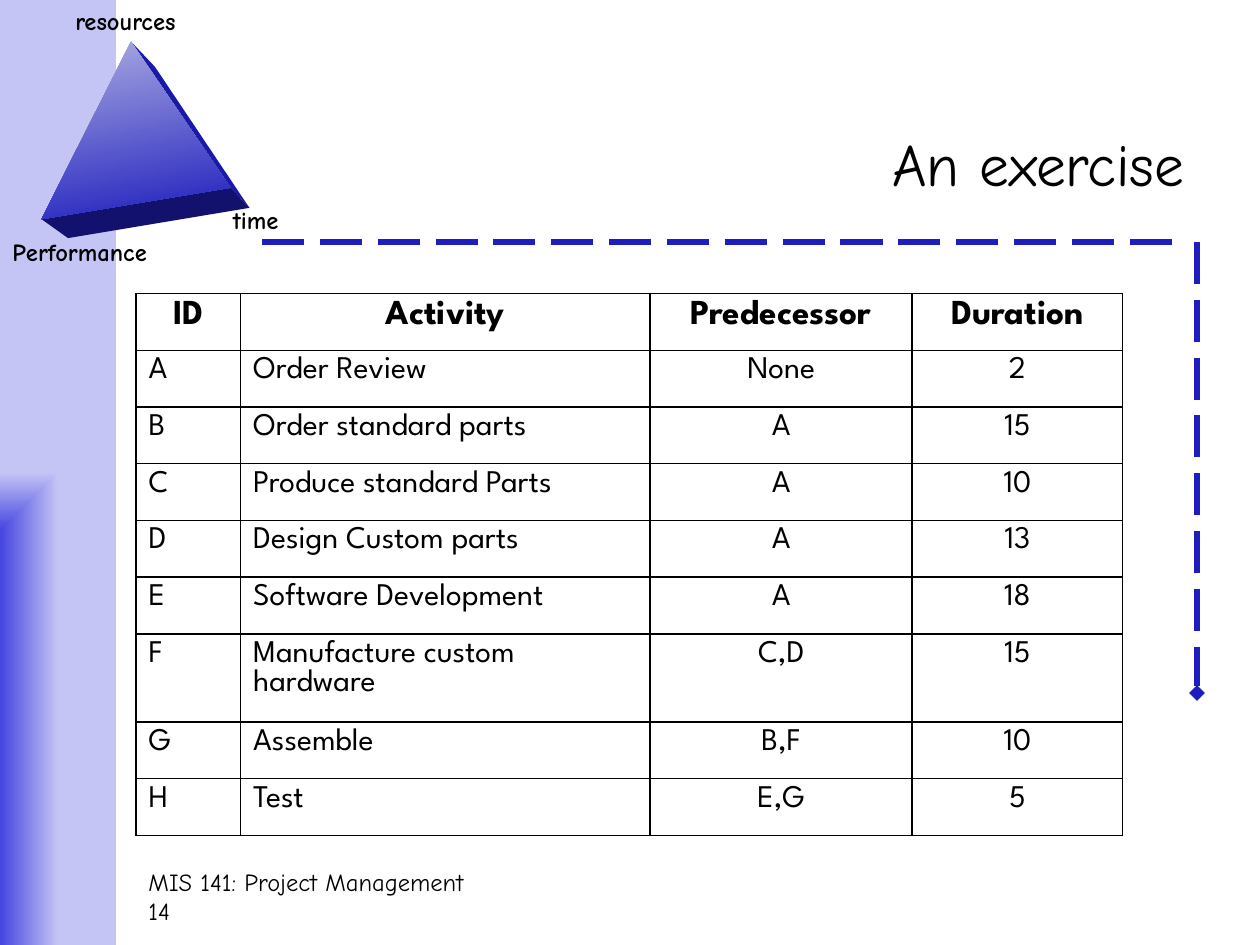
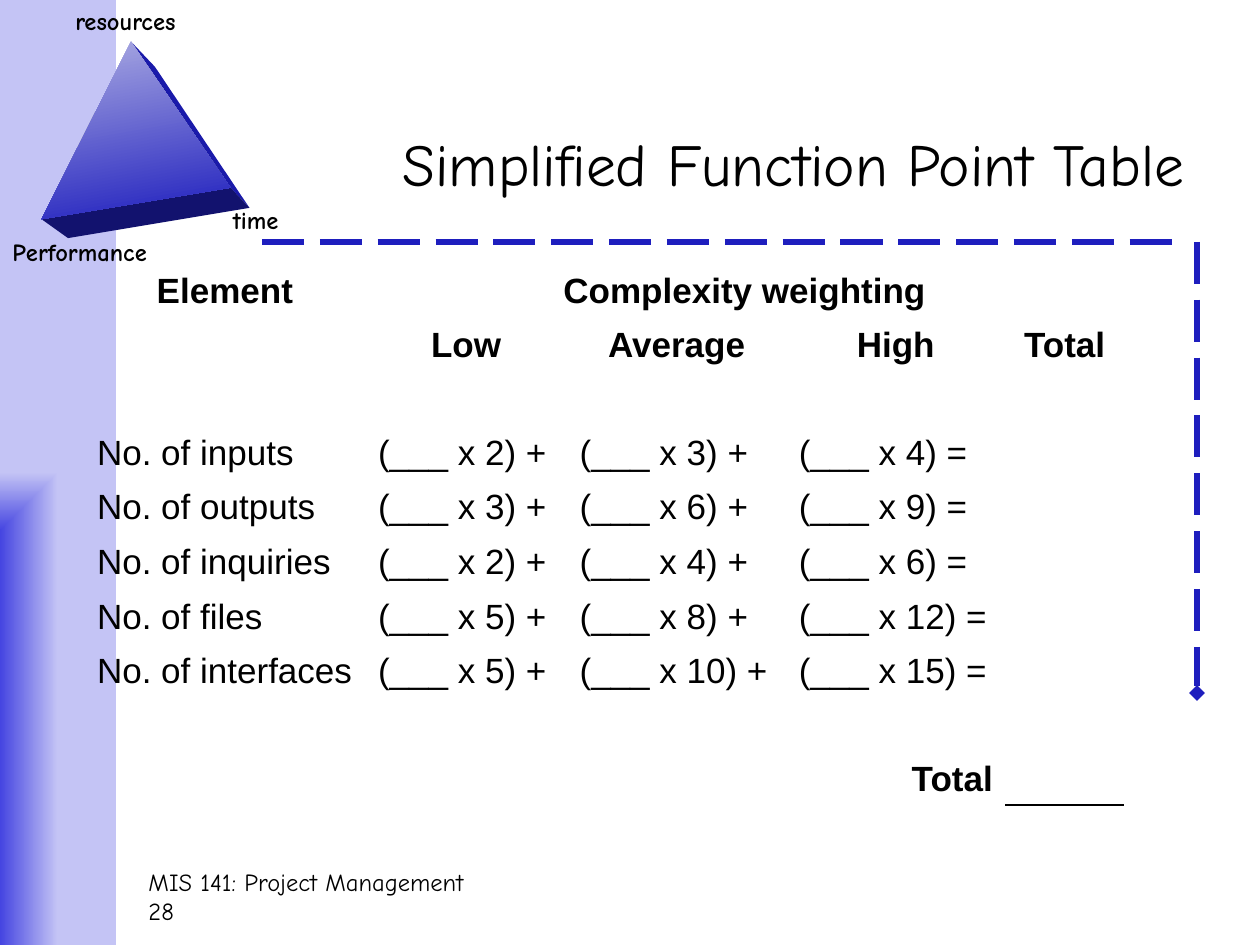
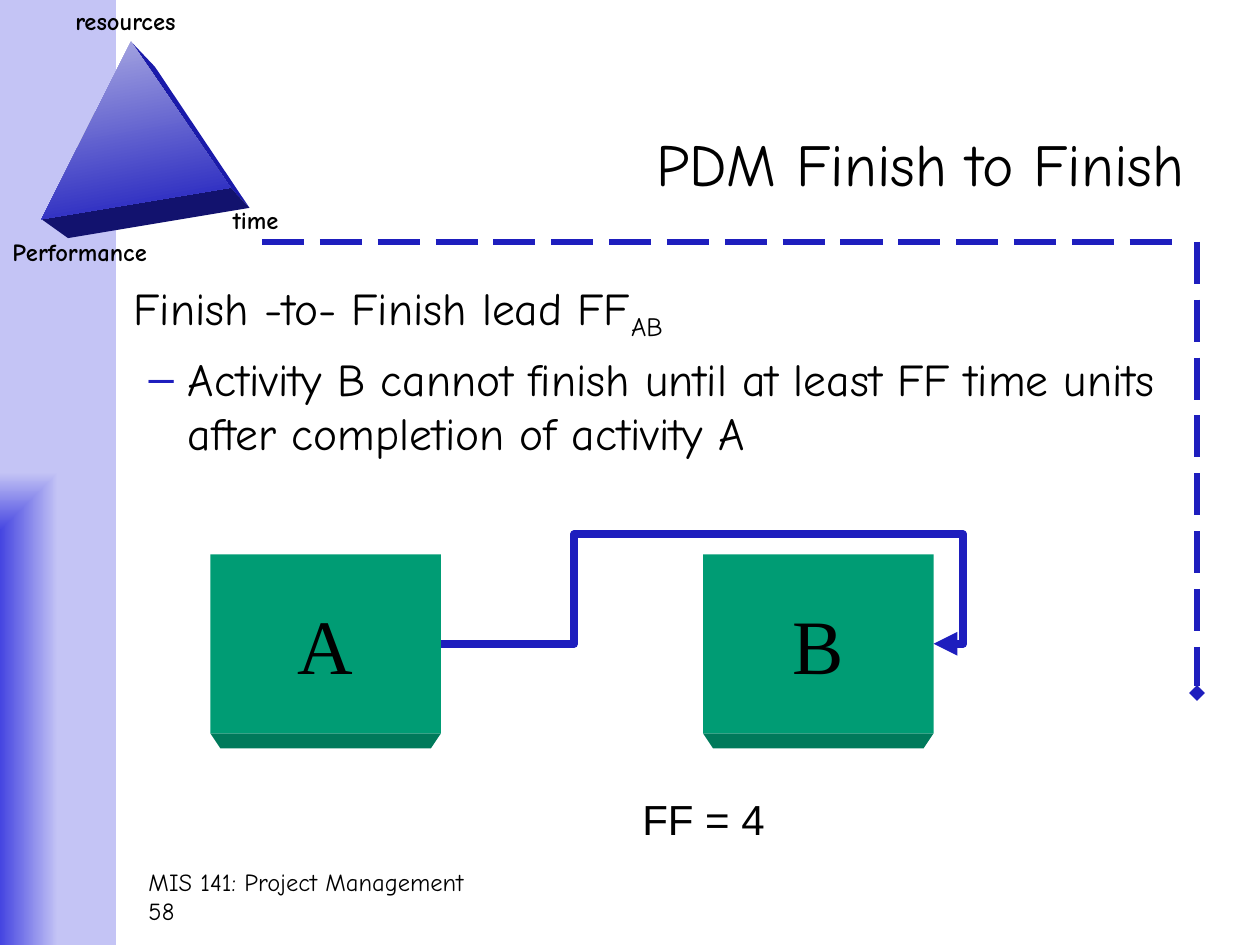
from lxml.etree import SubElement
from pptx import Presentation
from pptx.dml.color import RGBColor
from pptx.enum.dml import MSO_LINE
from pptx.enum.shapes import MSO_CONNECTOR, MSO_SHAPE
from pptx.enum.text import MSO_ANCHOR, MSO_AUTO_SIZE, PP_ALIGN
from pptx.oxml import parse_xml
from pptx.oxml.ns import nsdecls, qn
from pptx.util import Emu, Inches, Pt

BLACK, BLUE = "000000", "1E1EBE"
BAND_DARK, BAND_LIGHT = "4545E1", "C4C4F5"
PYRAMID_LIGHT, PYRAMID_SIDE, PYRAMID_BASE = "ABABE2", "1A1AAA", "12126E"
BOX_FRONT, BOX_BASE = "009C74", "007A5B"
COMIC, SPARTAN, ARIAL, TIMES = "Comic Neue", "League Spartan", "Arial", "Times New Roman"
LEFT, CENTER, RIGHT = PP_ALIGN.LEFT, PP_ALIGN.CENTER, PP_ALIGN.RIGHT
NO_STYLE = "{2D5ABB26-0587-4C30-8999-92F81FD0307C}"


def rgb(color):
    return RGBColor.from_string(color)


def write(p, text, font=COMIC, size=14, color=BLACK, bold=False, align=None, base=None):
    """Add a run to a paragraph; base shifts it below the line, in percent."""
    if align is not None:
        p.alignment = align
    r = p.add_run()
    r.text = text
    r.font.name, r.font.size, r.font.bold = font, Pt(size), bold
    r.font.color.rgb = rgb(color)
    if base is not None:
        r.font._element.set("baseline", str(base * 1000))
    return r


def set_bullet(p, char, left, hang, color=BLUE):
    pPr = p._p.get_or_add_pPr()
    pPr.set("marL", str(Inches(left)))
    pPr.set("indent", str(-Inches(hang)))
    clr = SubElement(pPr, qn("a:buClr"))
    SubElement(clr, qn("a:srgbClr"), val=color)
    SubElement(pPr, qn("a:buChar"), char=char)


def set_borders(cell, sides, color=BLACK, width=1):
    """Draw the named sides (in the order L, R, T, B) of a table cell."""
    tcPr = cell._tc.get_or_add_tcPr()
    for i, side in enumerate(sides):
        tcPr.insert(i, parse_xml(
            f'<a:ln{side} {nsdecls("a")} w="{Pt(width)}"><a:solidFill>'
            f'<a:srgbClr val="{color}"/></a:solidFill></a:ln{side}>'))


def set_gradient(fill, colors, angle):
    fill.gradient()
    fill.gradient_angle = angle
    for stop, color, position in zip(fill.gradient_stops, colors, (0, 1)):
        stop.color.rgb = rgb(color)
        stop.position = position


class Deck:
    def __init__(self):
        self.prs = Presentation()
        self.prs.slide_width, self.prs.slide_height = Inches(10), Inches(7.5)
        self.s = None

    def slide(self, title, number, layout=5):
        self.s = self.prs.slides.add_slide(self.prs.slide_layouts[layout])
        self.band()
        self.pyramid()
        for label, x, y, w in (("resources", 0.5, 0, 1.1),
                               ("Performance", 0, 1.83, 1.38),
                               ("time", 1.75, 1.58, 0.61)):
            self.text([label], x, y, w, 0.33, wrap=False, bold=True)
        self.dashed_line(2.08, 1.92, 9.42, 1.92)
        self.dashed_line(9.5, 1.92, 9.5, 5.5, tail="diamond")
        self.text(["MIS 141: Project Management", str(number)], 1.08, 6.83, 6.42, 0.5)
        self.title(title)

    def place(self, shape, x, y, w, h):
        shape.left, shape.top = Inches(x), Inches(y)
        shape.width, shape.height = Inches(w), Inches(h)

    def title(self, text):
        sp = self.s.shapes.title
        self.place(sp, 2.08, 0.67, 7.42, 1.25)
        tf = sp.text_frame
        tf.vertical_anchor, tf.auto_size = MSO_ANCHOR.MIDDLE, MSO_AUTO_SIZE.NONE
        write(tf.paragraphs[0], text, size=34, align=RIGHT)

    def text(self, lines, x, y, w, h, wrap=True, **style):
        tf = self.s.shapes.add_textbox(
            Inches(x), Inches(y), Inches(w), Inches(h)).text_frame
        tf.word_wrap = wrap
        for i, line in enumerate(lines):
            p = tf.add_paragraph() if i else tf.paragraphs[0]
            write(p, line, **style)

    def rect(self, x, y, w, h, fill):
        sp = self.s.shapes.add_shape(
            MSO_SHAPE.RECTANGLE, Inches(x), Inches(y), Inches(w), Inches(h))
        sp.shadow.inherit = False
        sp.fill.solid()
        sp.fill.fore_color.rgb = rgb(fill)
        sp.line.fill.background()
        return sp

    def polygon(self, points, fill):
        corners = [(Inches(x), Inches(y)) for x, y in points]
        builder = self.s.shapes.build_freeform(*corners[0])
        builder.add_line_segments(corners[1:], close=True)
        sp = builder.convert_to_shape()
        sp.shadow.inherit = False
        sp.fill.solid()
        sp.fill.fore_color.rgb = rgb(fill)
        sp.line.fill.background()
        return sp

    def band(self):
        """Left band, shaded out of its lower left corner."""
        sp = self.rect(0, 0, 0.92, 7.5, BAND_LIGHT)
        set_gradient(sp.fill, (BAND_DARK, BAND_LIGHT), 0)
        grad = sp._element.spPr.find(qn("a:gradFill"))
        grad.remove(grad.find(qn("a:lin")))
        shade = SubElement(grad, qn("a:path"))
        shade.set("path", "rect")
        SubElement(shade, qn("a:fillToRect"), l="0", t="100000", r="100000", b="0")

    def pyramid(self):
        apex, left, right = (1.04, 0.33), (0.33, 1.74), (1.83, 1.49)
        back_apex, back_left, back_right = (1.23, 0.53), (0.54, 1.89), (1.98, 1.65)
        self.polygon([apex, back_apex, back_right, right], PYRAMID_SIDE)
        self.polygon([left, right, back_right, back_left], PYRAMID_BASE)
        front = self.polygon([apex, right, left], BLUE)
        set_gradient(front.fill, (PYRAMID_LIGHT, BLUE), 280)

    def style_line(self, cxn, width, tail=None):
        cxn.line.color.rgb = rgb(BLUE)
        cxn.line.width = Pt(width)
        if tail:
            SubElement(cxn.line._get_or_add_ln(), qn("a:tailEnd"), type=tail)
        SubElement(cxn._element.spPr, qn("a:effectLst"))

    def dashed_line(self, x1, y1, x2, y2, tail=None):
        cxn = self.s.shapes.add_connector(
            MSO_CONNECTOR.STRAIGHT, Inches(x1), Inches(y1), Inches(x2), Inches(y2))
        cxn.line.dash_style = MSO_LINE.LONG_DASH
        self.style_line(cxn, 3, tail)

    def activity(self, name, x, y, w=1.83, h=1.42):
        """Box with a visible lower edge."""
        bottom, inset, depth = y + h, 0.08, 0.12
        self.polygon([(x, bottom), (x + w, bottom), (x + w - inset, bottom + depth),
                      (x + inset, bottom + depth)], BOX_BASE)
        sp = self.rect(x, y, w, h, BOX_FRONT)
        sp.text_frame.word_wrap = False
        sp.text_frame.vertical_anchor = MSO_ANCHOR.MIDDLE
        write(sp.text_frame.paragraphs[0], name, font=TIMES, size=44, align=CENTER)
        return sp

    def finish_link(self, start, end, adjustments):
        """Elbow arrow from the right side of start, below end, to its right side."""
        cxn = self.s.shapes.add_connector(MSO_CONNECTOR.ELBOW, 0, 0, 0, 0)
        cxn.begin_connect(start, 3)
        cxn.end_connect(end, 3)
        cxn.height = Emu(1588)  # the bend depth is a multiple of this height
        geom = cxn._element.spPr.find(qn("a:prstGeom"))
        geom.set("prst", "bentConnector5")
        av = geom.find(qn("a:avLst"))
        if av is None:
            av = SubElement(geom, qn("a:avLst"))
        for i, value in enumerate(adjustments, 1):
            SubElement(av, qn("a:gd"), name=f"adj{i}", fmla=f"val {round(value * 100000)}")
        self.style_line(cxn, 4.5, "triangle")

    def table(self, x, y, widths, row_height, n_rows):
        frame = self.s.shapes.add_table(
            n_rows, len(widths), Inches(x), Inches(y),
            Inches(sum(widths)), Inches(row_height * n_rows))
        table = frame.table
        table.first_row = table.horz_banding = False
        table._tbl.tblPr.find(qn("a:tableStyleId")).text = NO_STYLE
        for column, width in zip(table.columns, widths):
            column.width = Inches(width)
        for row in table.rows:
            row.height = Inches(row_height)
            for cell in row.cells:
                cell.fill.background()
        return table

    def cell(self, table, row, col, text, anchor=MSO_ANCHOR.TOP, **style):
        cell = table.cell(row, col)
        cell.vertical_anchor = anchor
        if text:
            write(cell.text_frame.paragraphs[0], text, **style)
        return cell


def exercise(deck):
    deck.slide("An exercise", 14)
    rows = [("ID", "Activity", "Predecessor", "Duration"),
            ("A", "Order Review", "None", "2"),
            ("B", "Order standard parts", "A", "15"),
            ("C", "Produce standard Parts", "A", "10"),
            ("D", "Design Custom parts", "A", "13"),
            ("E", "Software Development", "A", "18"),
            ("F", "Manufacture custom hardware", "C,D", "15"),
            ("G", "Assemble", "B,F", "10"),
            ("H", "Test", "E,G", "5")]
    table = deck.table(1.08, 2.33, (0.83, 3.25, 2.08, 1.67), 0.45, len(rows))
    for i, row in enumerate(rows):
        header = i == 0
        for j, text in enumerate(row):
            cell = deck.cell(table, i, j, text, font=SPARTAN, size=20 if header else 18,
                             bold=header, align=CENTER if header or j > 1 else LEFT)
            set_borders(cell, "LRTB")


def function_points(deck):
    deck.slide("Simplified Function Point Table", 28)
    weights = {"inputs": (2, 3, 4), "outputs": (3, 6, 9), "inquiries": (2, 4, 6),
               "files": (5, 8, 12), "interfaces": (5, 10, 15)}
    rows = [("Element", "Complexity weighting"),
            ("", "Low", "Average", "High", "Total"),
            ()]
    for element, factors in weights.items():
        terms = [f"(___ x {n}) {sign}" for n, sign in zip(factors, "++=")]
        rows.append((f"No. of {element}", *terms))
    rows += [(), ("", "", "", "Total")]
    last = len(rows) - 1

    table = deck.table(0.67, 2.08, (2.23, 1.6, 1.74, 1.74, 0.94), 0.42, len(rows))
    table.cell(0, 1).merge(table.cell(0, 4))
    for i, row in enumerate(rows):
        align = CENTER if i < 2 else RIGHT if i == last else LEFT
        for j, text in enumerate(row):
            deck.cell(table, i, j, text, anchor=MSO_ANCHOR.BOTTOM, font=ARIAL, size=20,
                      bold=i < 2 or i == last, align=align)
    set_borders(table.cell(last, 4), "B")


def finish_to_finish(deck):
    deck.slide("PDM Finish to Finish", 58, layout=1)
    body = deck.s.placeholders[1]
    deck.place(body, 0.58, 2.17, 8.92, 4.5)
    tf = body.text_frame
    tf.auto_size = MSO_AUTO_SIZE.NONE
    p = tf.paragraphs[0]
    p.space_before = Pt(0)
    set_bullet(p, "•", 0.38, 0.38)
    write(p, "Finish -to- Finish lead FF", size=26)
    write(p, "AB", size=26, base=-25)
    p = tf.add_paragraph()
    p.level = 1
    p.space_before = Pt(5)
    set_bullet(p, "–", 0.81, 0.31)
    write(p, "Activity B cannot finish until at least FF time units "
             "after completion of activity A", size=26)

    a, b = deck.activity("A", 1.67, 4.4), deck.activity("B", 5.58, 4.4)
    deck.finish_link(a, b, (0.27, 552, 1.06))
    deck.text(["FF = 4"], 5, 6.25, 1.17, 0.5, wrap=False, font=ARIAL, size=24)


def main():
    deck = Deck()
    exercise(deck)
    function_points(deck)
    finish_to_finish(deck)
    deck.prs.save("out.pptx")


if __name__ == "__main__":
    main()
